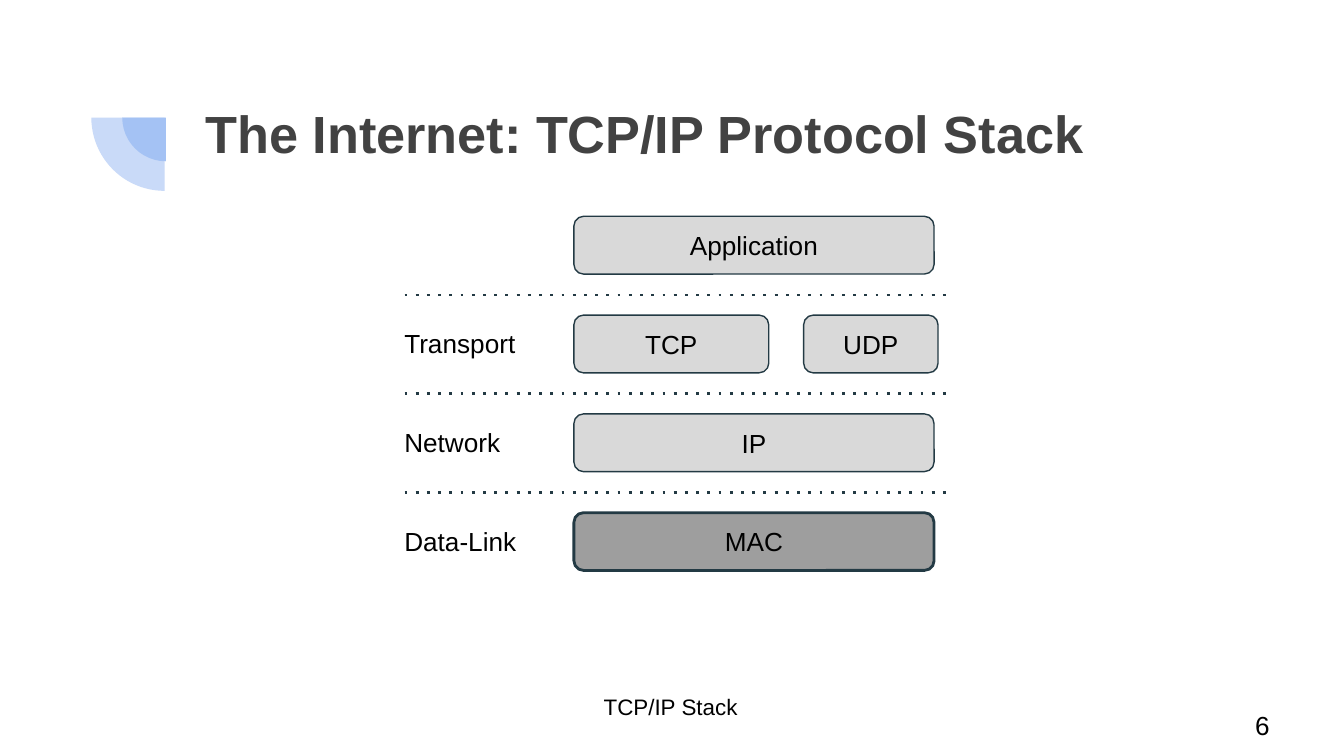
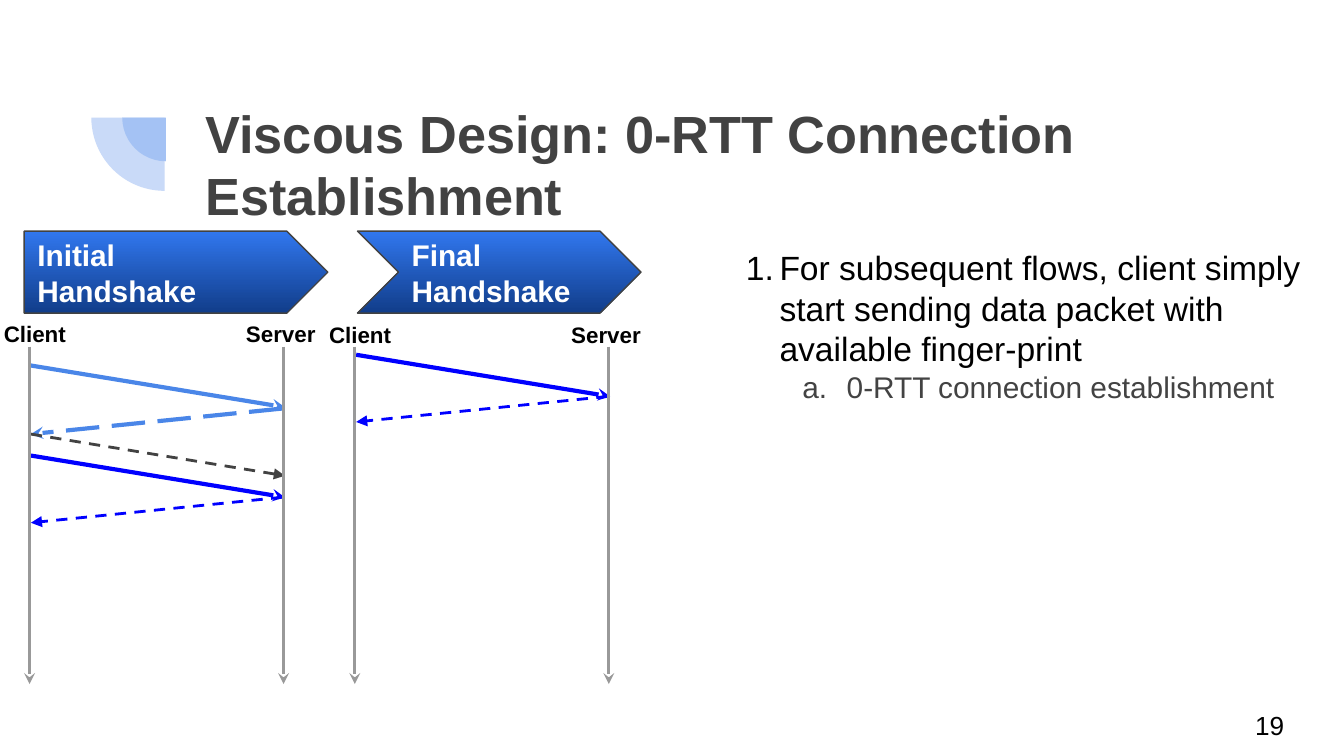
from lxml import etree
from pptx import Presentation
from pptx.dml.color import RGBColor
from pptx.enum.shapes import MSO_CONNECTOR, MSO_SHAPE
from pptx.enum.text import MSO_ANCHOR, MSO_AUTO_SIZE, PP_ALIGN
from pptx.oxml.ns import qn
from pptx.util import Inches, Pt

STRAIGHT = MSO_CONNECTOR.STRAIGHT
ROUNDED, PIE = MSO_SHAPE.ROUNDED_RECTANGLE, MSO_SHAPE.PIE
PENTAGON, CHEVRON = MSO_SHAPE.PENTAGON, MSO_SHAPE.CHEVRON
TOP, MIDDLE = MSO_ANCHOR.TOP, MSO_ANCHOR.MIDDLE
LEFT, CENTER = PP_ALIGN.LEFT, PP_ALIGN.CENTER
NO_FIT = MSO_AUTO_SIZE.NONE

THEME = {
    "font": "Arial",
    "heading": "424242",
    "sub_item": "434343",
    "text": "000000",
    "inverse": "FFFFFF",
    "outer_arc": "C9DAF8",
    "inner_arc": "A4C2F4",
    "layer": "D9D9D9",
    "active_layer": "9E9E9E",
    "outline": "233A44",
    "banner": ("3177EE", "113D8A"),
    "lifeline": "999999",
    "setup": "4A86E8",
    "data": "0000FF",
    "title_size": 28,
    "body_size": 18,
    "banner_size": 16,
    "label_size": 14,
    "small_size": 12,
}
FRAME_FORMAT = {
    "word_wrap": True,
    "auto_size": NO_FIT,
    "margin_left": Inches(0.1),
    "margin_right": Inches(0.1),
    "margin_top": Inches(0.1),
    "margin_bottom": Inches(0.1),
}


def write(holder, lines, size, color="text", bold=False, align=LEFT, anchor=MIDDLE):
    frame = holder.text_frame
    for attribute, value in FRAME_FORMAT.items():
        setattr(frame, attribute, value)
    frame.vertical_anchor = anchor
    frame.text = lines
    for paragraph in frame.paragraphs:
        paragraph.alignment = align
        for run in paragraph.runs:
            run.font.color.rgb = RGBColor.from_string(THEME[color])
            font_format = {"name": THEME["font"], "size": Pt(THEME[size]), "bold": bold}
            for attribute, value in font_format.items():
                setattr(run.font, attribute, value)


def draw_line(slide, start, end, color, width, dash=None, head=None):
    line = slide.shapes.add_connector(STRAIGHT, *map(Inches, start + end))
    line.line.color.rgb = RGBColor.from_string(THEME[color])
    line.line.width = Pt(width)
    properties = line.element.spPr
    stroke = properties.find(qn("a:ln"))
    if dash:
        etree.SubElement(stroke, qn("a:prstDash"), val=dash)
    if head:
        etree.SubElement(stroke, qn("a:tailEnd"), type=head)
    etree.SubElement(properties, qn("a:effectLst"))


prs = Presentation()
prs.slide_width, prs.slide_height = Inches(10), Inches(5.625)
stack_slide = prs.slides.add_slide(prs.slide_layouts[5])
handshake_slide = prs.slides.add_slide(prs.slide_layouts[1])

ARCS = [(0.68, 0.33, 1.09, "outer_arc"), (0.91, 0.55, 0.65, "inner_arc")]
for number, (left, top, side, color) in enumerate(ARCS):
    arc = stack_slide.shapes.add_shape(PIE, *map(Inches, (left, top, side, side)))
    arc.adjustments[0], arc.adjustments[1] = 108, 162
    arc.rotation = 270
    arc.shadow.inherit = False
    arc.fill.solid()
    arc.fill.fore_color.rgb = RGBColor.from_string(THEME[color])
    arc.line.fill.background()
    arc.element.nvSpPr.cNvPr.id = 100 + number
    prs.slide_master.shapes.element.append(arc.element)

HEADINGS = [
    (stack_slide, "The Internet: TCP/IP Protocol Stack", "6"),
    (handshake_slide, "Viscous Design: 0-RTT Connection Establishment", "19"),
]
for slide, heading, page in HEADINGS:
    title = slide.shapes.title
    title.left, title.top, title.width, title.height = map(Inches, (1.43, 0.65, 7.69, 1.09))
    write(title, heading, "title_size", "heading", bold=True, anchor=TOP)
    page_number = slide.shapes.add_textbox(*map(Inches, (9.24, 5.18, 0.6, 0.43)))
    write(page_number, page, "label_size")

LAYERS = [
    ("", [("Application", 4.27, 2.68)]),
    ("Transport", [("TCP", 4.27, 1.45), ("UDP", 5.98, 1)]),
    ("Network", [("IP", 4.27, 2.68)]),
    ("Data-Link", [("MAC", 4.27, 2.68)]),
]
for row, (layer, protocols) in enumerate(LAYERS):
    top = 1.61 + 0.735 * row
    if layer:
        draw_line(stack_slide, (3.01, top - 0.15), (7.09, top - 0.15), "outline", 1.5, "dot")
        layer_label = stack_slide.shapes.add_textbox(*map(Inches, (2.91, top + 0.07, 1.36, 0.28)))
        write(layer_label, layer, "label_size")
    for protocol, left, width in protocols:
        active = protocol == "MAC"
        box = stack_slide.shapes.add_shape(ROUNDED, *map(Inches, (left, top, width, 0.43)))
        box.shadow.inherit = False
        box.fill.solid()
        box.fill.fore_color.rgb = RGBColor.from_string(THEME["active_layer" if active else "layer"])
        box.line.color.rgb = RGBColor.from_string(THEME["outline"])
        box.line.width = Pt(1.5 if active else 0.75)
        write(box, protocol, "label_size", align=CENTER)

caption = stack_slide.shapes.add_textbox(*map(Inches, (3.88, 5.06, 2.22, 0.5)))
write(caption, "TCP/IP Stack", "small_size", align=CENTER, anchor=TOP)

steps = handshake_slide.placeholders[1]
steps.left, steps.top, steps.width, steps.height = map(Inches, (5.2, 1.74, 4.76, 3.31))
STEP_TEXT = (
    "For subsequent flows, client simply start sending data packet with available finger-print\n"
    "0-RTT connection establishment"
)
write(steps, STEP_TEXT, "body_size", anchor=TOP)
NUMBERING = [(0.5, -0.25, "arabicPeriod", "text"), (1, -0.33, "alphaLcPeriod", "sub_item")]
for level, (margin, indent, scheme, color) in enumerate(NUMBERING):
    step = steps.text_frame.paragraphs[level]
    step.level = level
    step.space_before = Pt(0)
    properties = step._p.get_or_add_pPr()
    properties.set("marL", str(Inches(margin)))
    properties.set("indent", str(Inches(indent)))
    bullet_color = etree.SubElement(properties, qn("a:buClr"))
    etree.SubElement(bullet_color, qn("a:srgbClr"), val=THEME[color])
    etree.SubElement(properties, qn("a:buFont"), typeface=THEME["font"])
    etree.SubElement(properties, qn("a:buAutoNum"), type=scheme)
sub_item = steps.text_frame.paragraphs[1].runs[0].font
sub_item.size = Pt(THEME["banner_size"])
sub_item.color.rgb = RGBColor.from_string(THEME["sub_item"])

MESSAGES = [
    ((0.23, 2.72), (2.12, 3.03), "setup", 2.25, None, "stealth"),
    ((2.1, 3.04), (0.23, 3.23), "setup", 2.25, "lgDash", "stealth"),
    ((0.23, 3.23), (2.12, 3.54), "heading", 1.5, "dash", "triangle"),
]
for left, top in [(0.23, 3.39), (2.65, 2.64)]:
    MESSAGES += [
        ((left, top), (left + 1.89, top + 0.31), "data", 2.25, None, "stealth"),
        ((left + 1.87, top + 0.31), (left, top + 0.5), "data", 1.5, "dash", "triangle"),
    ]
for message in MESSAGES:
    draw_line(handshake_slide, *message)

PHASES = [
    (PENTAGON, 0.18, 2.26, "Initial\nHandshake", 0.22, 2.25),
    (CHEVRON, 2.66, 2.11, "Final Handshake", 2.64, 2.26),
]
for outline, left, width, phase, client_x, label_top in PHASES:
    banner = handshake_slide.shapes.add_shape(outline, *map(Inches, (left, 1.72, width, 0.61)))
    banner.shadow.inherit = False
    banner.fill.gradient()
    banner.fill.gradient_angle = 270
    for stop, color in zip(banner.fill.gradient_stops, THEME["banner"]):
        stop.color.rgb = RGBColor.from_string(color)
    banner.line.color.rgb = RGBColor.from_string(THEME["heading"])
    banner.line.width = Pt(0.75)
    write(banner, phase, "banner_size", "inverse", bold=True)
    for host, x, offset in [("Client", client_x, 0.34), ("Server", client_x + 1.89, 0.4)]:
        draw_line(handshake_slide, (x, 2.58), (x, 5.09), "lifeline", 1.5, head="stealth")
        host_label = handshake_slide.shapes.add_textbox(
            *map(Inches, (x - offset, label_top, 0.76, 0.46)))
        write(host_label, host, "small_size", bold=True, align=CENTER)

prs.save("out.pptx")
